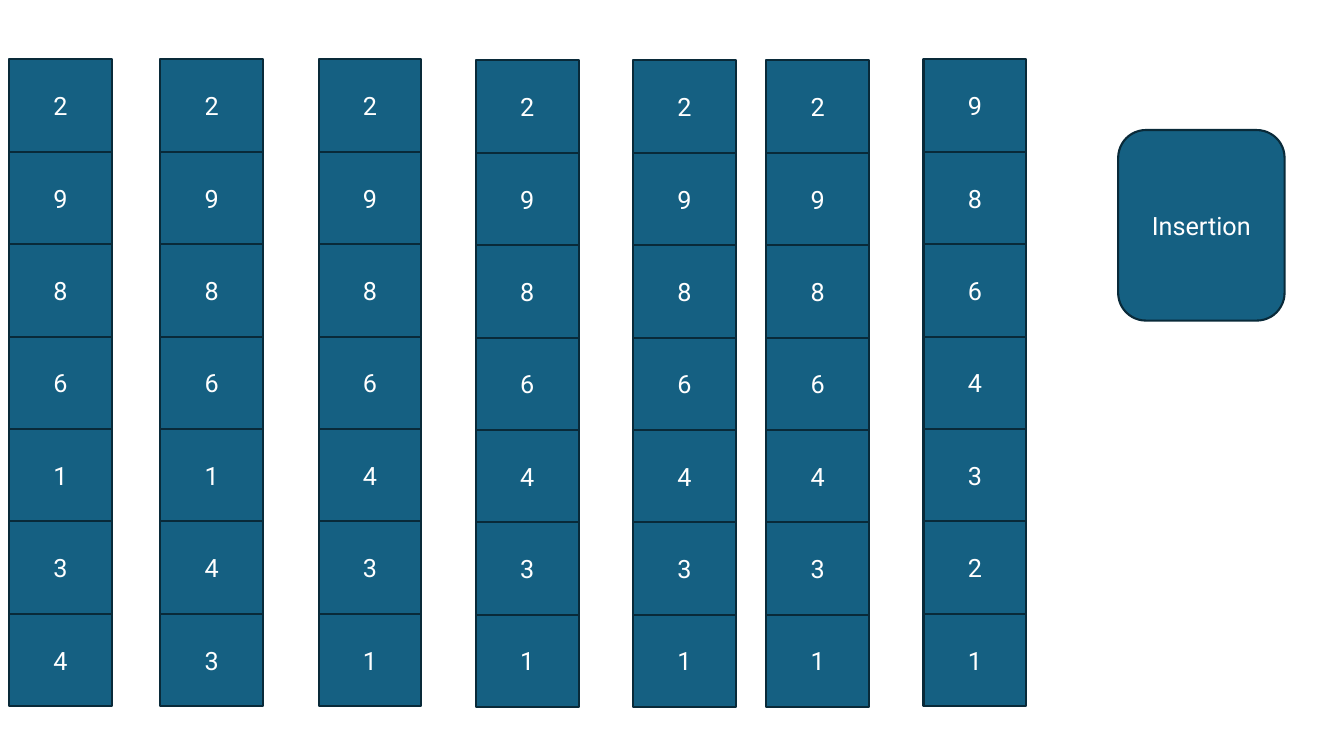
from dataclasses import dataclass

from pptx import Presentation
from pptx.dml.color import RGBColor
from pptx.enum.shapes import MSO_SHAPE
from pptx.enum.text import MSO_ANCHOR, PP_ALIGN
from pptx.shapes.autoshape import Shape
from pptx.slide import Slide
from pptx.util import Inches, Pt

RECTANGLE = MSO_SHAPE.RECTANGLE
ROUNDED = MSO_SHAPE.ROUNDED_RECTANGLE
MIDDLE = MSO_ANCHOR.MIDDLE
CENTER = PP_ALIGN.CENTER

TEAL = RGBColor(0x15, 0x60, 0x82)
DARK_TEAL = RGBColor(0x09, 0x2A, 0x39)
WHITE = RGBColor(0xFF, 0xFF, 0xFF)

SLIDE_WIDTH = Inches(13.33)
SLIDE_HEIGHT = Inches(7.5)
BLANK_LAYOUT = 6

# Positions and sizes are percentages of the slide's width and height.
CELL_WIDTH = 7.65
CELL_HEIGHT = 12.22
HIGH_TOP = 7.87
LOW_TOP = 8


@dataclass(frozen=True)
class Box:
    left: float
    top: float
    width: float
    height: float


@dataclass(frozen=True)
class SortingStep:
    left: float
    top: float
    values: str


SORTING_STEPS = (
    SortingStep(0.68, HIGH_TOP, "2986134"),
    SortingStep(11.93, HIGH_TOP, "2986143"),
    SortingStep(23.71, HIGH_TOP, "2986431"),
    SortingStep(35.41, LOW_TOP, "2986431"),
    SortingStep(47.11, LOW_TOP, "2986431"),
    SortingStep(57.01, LOW_TOP, "2986431"),
    SortingStep(68.72, HIGH_TOP, "9864321"),
)
METHOD_BOX = Box(83.2, 17.2, 12.38, 25.2)


def write_text(shape: Shape, text: str, *, size: float = 18,
               font: str = "Roboto", color: RGBColor = WHITE) -> None:
    frame = shape.text_frame
    frame.word_wrap = True
    frame.vertical_anchor = MIDDLE
    paragraph = frame.paragraphs[0]
    paragraph.alignment = CENTER
    run = paragraph.add_run()
    run.text = text
    run.font.size = Pt(size)
    run.font.name = font
    run.font.color.rgb = color


def add_labelled_box(slide: Slide, box: Box, text: str,
                     kind: MSO_SHAPE = RECTANGLE) -> None:
    shape = slide.shapes.add_shape(
        kind,
        round(SLIDE_WIDTH * box.left / 100),
        round(SLIDE_HEIGHT * box.top / 100),
        round(SLIDE_WIDTH * box.width / 100),
        round(SLIDE_HEIGHT * box.height / 100),
    )
    shape.shadow.inherit = False
    shape.fill.solid()
    shape.fill.fore_color.rgb = TEAL
    shape.line.color.rgb = DARK_TEAL
    shape.line.width = Pt(1.5)
    write_text(shape, text)


def add_sorting_step(slide: Slide, step: SortingStep) -> None:
    """Stack one cell per value, from the top down."""
    for row, value in enumerate(step.values):
        top = step.top + row * CELL_HEIGHT
        add_labelled_box(slide, Box(step.left, top, CELL_WIDTH, CELL_HEIGHT), value)


def main() -> None:
    presentation = Presentation()
    presentation.slide_width = SLIDE_WIDTH
    presentation.slide_height = SLIDE_HEIGHT
    slide = presentation.slides.add_slide(presentation.slide_layouts[BLANK_LAYOUT])
    for step in SORTING_STEPS:
        add_sorting_step(slide, step)
    add_labelled_box(slide, METHOD_BOX, "Insertion", ROUNDED)
    presentation.save("out.pptx")


if __name__ == "__main__":
    main()
